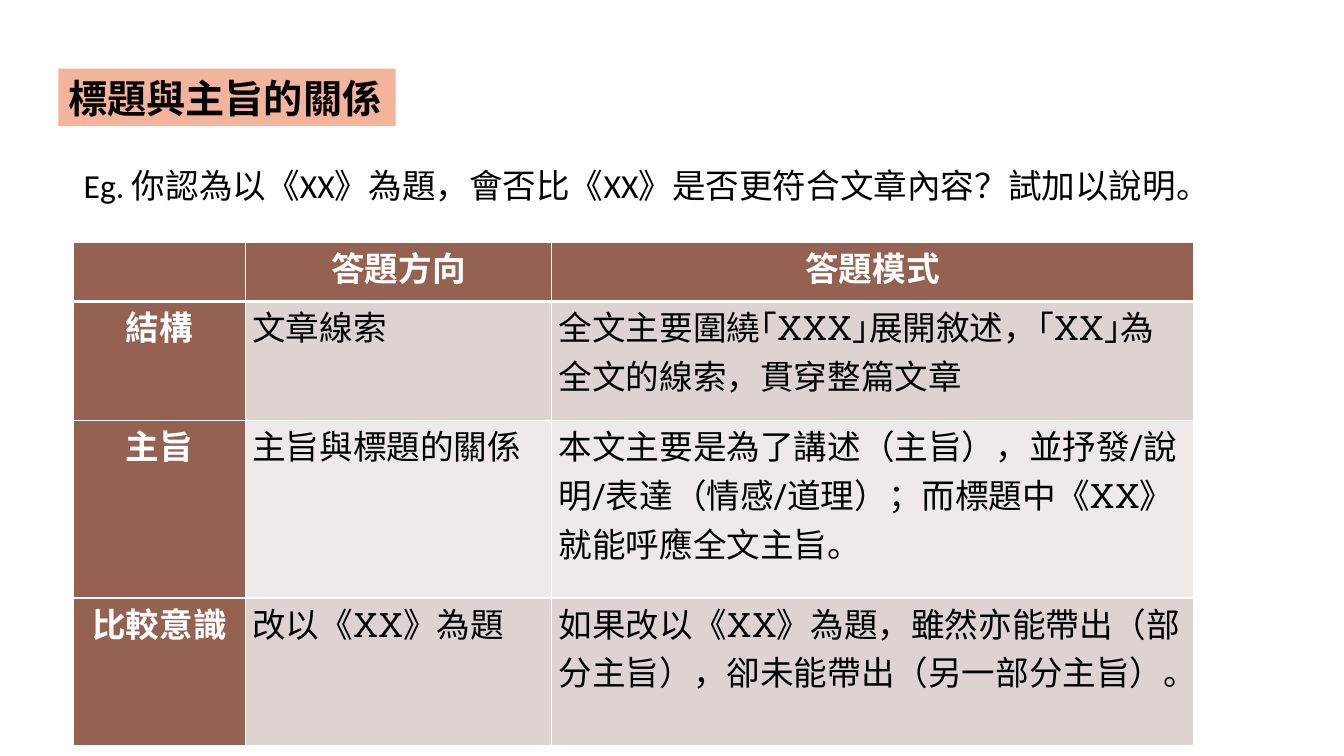
"""Build a slide on how a title relates to the theme of a text."""
import pptx
import pptx.util
import pptx.dml.color
import pptx.enum.text
import pptx.enum.shapes
import pptx.oxml
import pptx.oxml.ns

Cm = pptx.util.Cm
Pt = pptx.util.Pt
RGB = pptx.dml.color.RGBColor.from_string
ALIGN = pptx.enum.text.PP_ALIGN
HUES = {"peach": "F4B39B", "brown": "956251", "rose": "DDD3D0",
        "pale": "EFEAE9", "white": "FFFFFF", "black": "000000"}


def write(para, text, font, size, hue, bold=False):
    """Add one styled run."""
    run = para.add_run()
    run.text = text
    run.font.name = font
    run.font.size = Pt(size)
    run.font.bold = bold
    run.font.color.rgb = RGB(HUES[hue])
    return run


def edge(cell, side, width, rank):
    """Draw one white cell border."""
    line = pptx.oxml.parse_xml(
        f'<a:{side} {pptx.oxml.ns.nsdecls("a")} w="{int(Pt(width))}">'
        f'<a:solidFill><a:srgbClr val="{HUES["white"]}"/></a:solidFill></a:{side}>')
    cell._tc.get_or_add_tcPr().insert(rank, line)


deck = pptx.Presentation()
deck.slide_width = Cm(33.87)
deck.slide_height = Cm(19.05)
slide = deck.slides.add_slide(deck.slide_layouts[6])

title = slide.shapes.add_shape(pptx.enum.shapes.MSO_SHAPE.RECTANGLE,
                               Cm(1.47), Cm(1.73), Cm(8.5), Cm(1.45))
title.shadow.inherit = False
title.fill.solid()
title.fill.fore_color.rgb = RGB(HUES["peach"])
title.line.fill.background()
sample = slide.shapes.add_textbox(Cm(1.86), Cm(4.02), Cm(29.15), Cm(1.28))

for box, text, size, bold in [
    (title, "標題與主旨的關係", 28, True),
    (sample, "Eg. 你認為以《XX》為題，會否比《XX》是否更符合文章內容？試加以說明。", 24, False),
]:
    frame = box.text_frame
    frame.word_wrap = True
    frame.vertical_anchor = pptx.enum.text.MSO_ANCHOR.MIDDLE
    para = frame.paragraphs[0]
    para.alignment = ALIGN.LEFT
    run = write(para, text, "Calibri", size, "black", bold)
    run.font._element.append(pptx.oxml.parse_xml(
        f'<a:ea {pptx.oxml.ns.nsdecls("a")} typeface="Calibri"/>'))

rows = [
    ("", "答題方向", "答題模式"),
    ("結構", "文章線索", "全文主要圍繞｢XXX｣展開敘述，｢XX｣為全文的線索，貫穿整篇文章"),
    ("主旨", "主旨與標題的關係",
     "本文主要是為了講述（主旨），並抒發/說明/表達（情感/道理）；而標題中《XX》就能呼應全文主旨。"),
    ("比較意識", "改以《XX》為題",
     "如果改以《XX》為題，雖然亦能帶出（部分主旨），卻未能帶出（另一部分主旨）。"),
]
wide = [4.32, 7.72, 16.18]
high = [1.5, 3, 4.47, 3.71]
table = slide.shapes.add_table(len(rows), len(wide), Cm(1.86), Cm(6.1),
                               Cm(sum(wide)), Cm(sum(high))).table
table.horz_banding = False
for col, width in zip(table.columns, wide):
    col.width = Cm(width)

for r, texts in enumerate(rows):
    table.rows[r].height = Cm(high[r])
    for c, text in enumerate(texts):
        cell = table.cell(r, c)
        head = r == 0 or c == 0
        cell.margin_left = cell.margin_right = Cm(0.18)
        cell.margin_top = cell.margin_bottom = 0
        cell.fill.solid()
        cell.fill.fore_color.rgb = RGB(HUES["brown" if head else "rose" if r % 2 else "pale"])
        widths = {"lnL": 1, "lnR": 1, "lnT": 3 if r == 1 else 1, "lnB": 3 if r == 0 else 1}
        for rank, (side, width) in enumerate(widths.items()):
            edge(cell, side, width, rank)
        para = cell.text_frame.paragraphs[0]
        para.alignment = ALIGN.CENTER if head else ALIGN.LEFT
        if text:
            write(para, text, "Roboto Slab", 24, "white" if head else "black", head)

deck.save("out.pptx")
